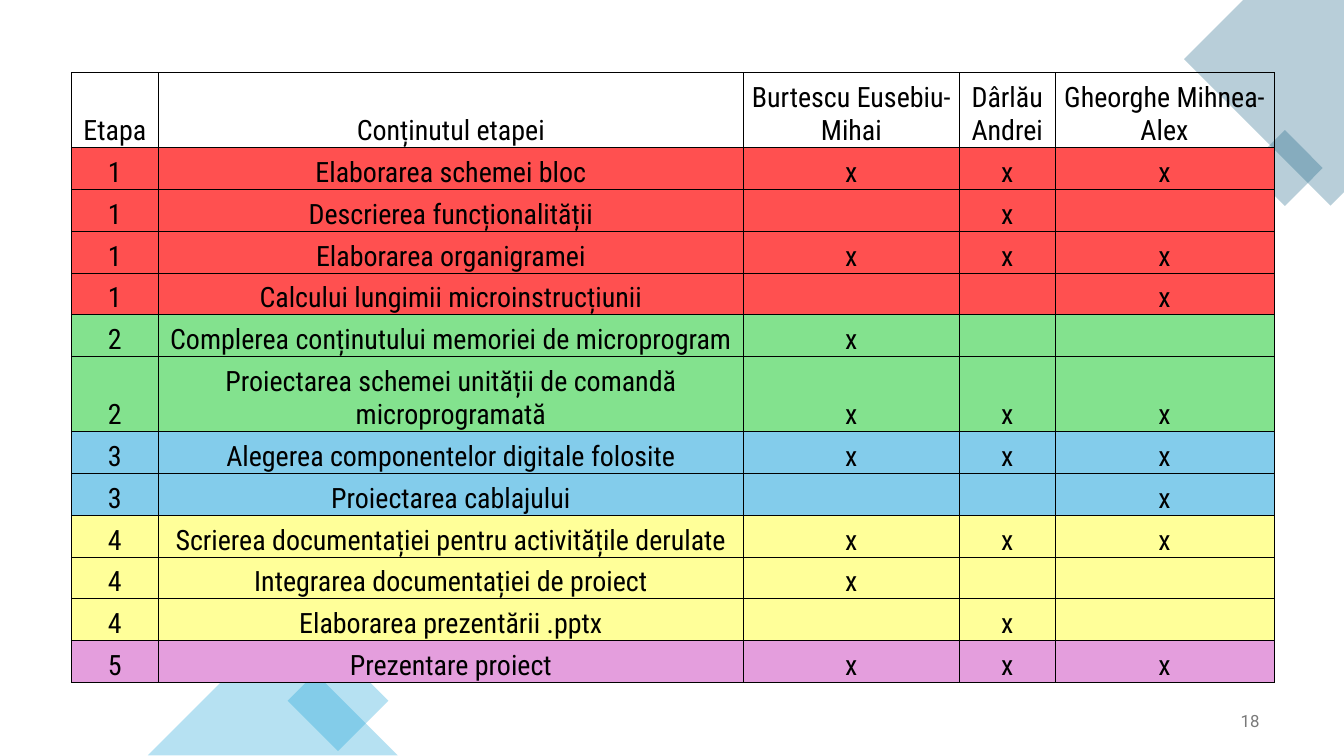
from lxml.etree import SubElement
from pptx import Presentation
from pptx.dml.color import RGBColor
from pptx.enum.shapes import MSO_SHAPE as SHAPE
from pptx.enum.text import MSO_ANCHOR as ANCHOR, PP_ALIGN as ALIGN
from pptx.oxml.ns import qn
from pptx.util import Inches, Pt

TEAL, SKY = "156082", "0F9ED5"
STAGE_COLORS = {"1": "FF5050", "2": "83E28E", "3": "83CCEB", "4": "FFFF99", "5": "E49EDD"}
HEADER = ("Etapa", "Conținutul etapei", "Burtescu Eusebiu-Mihai", "Dârlău Andrei",
          "Gheorghe Mihnea-Alex")
TASKS = [
    ("1", "Elaborarea schemei bloc", "x", "x", "x"),
    ("1", "Descrierea funcționalității", "", "x", ""),
    ("1", "Elaborarea organigramei", "x", "x", "x"),
    ("1", "Calcului lungimii microinstrucțiunii", "", "", "x"),
    ("2", "Complerea conținutului memoriei de microprogram", "x", "", ""),
    ("2", "Proiectarea schemei unității de comandă microprogramată", "x", "x", "x"),
    ("3", "Alegerea componentelor digitale folosite", "x", "x", "x"),
    ("3", "Proiectarea cablajului", "", "", "x"),
    ("4", "Scrierea documentației pentru activitățile derulate", "x", "x", "x"),
    ("4", "Integrarea documentației de proiect", "x", "", ""),
    ("4", "Elaborarea prezentării .pptx", "", "x", ""),
    ("5", "Prezentare proiect", "x", "x", "x"),
]
COLUMN_WIDTHS = (0.65, 4.35, 1.61, 0.71, 1.63)
TABLE_HEIGHT, TALL_HEIGHT, TALL_ROWS = 4.54, 0.56, (0, 6)


def paint(fill, color, alpha=None):
    """Fill with a solid colour, at an opacity in percent if given."""
    fill.solid()
    fill.fore_color.rgb = RGBColor.from_string(color)
    if alpha:
        clr = fill._xPr.find(f"{qn('a:solidFill')}/{qn('a:srgbClr')}")
        SubElement(clr, qn("a:alpha"), val=str(alpha * 1000))


def style_text(p, font, size, color, align):
    """Align a paragraph and format its runs."""
    p.alignment = align
    for r in p.runs:
        r.font.name, r.font.size, r.font.bold = font, Pt(size), False
        r.font.color.rgb = RGBColor.from_string(color)


def finish_decor(sp, color):
    """Make a shape a translucent, borderless decoration."""
    paint(sp.fill, color, 30)
    sp.line.fill.background()
    sp.shadow.inherit = False


def add_decor(s, kind, box, color, rotation=0):
    """Add a translucent preset shape."""
    sp = s.shapes.add_shape(kind, *map(Inches, box))
    sp.rotation = rotation
    finish_decor(sp, color)


def add_corner(s, points, color):
    """Add a translucent polygon through points in inches."""
    start, *rest = [(Inches(x), Inches(y)) for x, y in points]
    builder = s.shapes.build_freeform(*start)
    builder.add_line_segments(rest, close=True)
    finish_decor(builder.convert_to_shape(), color)


def add_borders(cell, color, width):
    """Draw all four borders of a cell."""
    tc_pr = cell._tc.get_or_add_tcPr()
    for side in ("a:lnL", "a:lnR", "a:lnT", "a:lnB"):
        ln = SubElement(tc_pr, qn(side), w=str(Pt(width)))
        SubElement(SubElement(ln, qn("a:solidFill")), qn("a:srgbClr"), val=color)


def fill_cell(cell, text, color):
    """Write one table cell with its borders and background."""
    add_borders(cell, "000000", 0.5)
    if color:
        paint(cell.fill, color)
    else:
        cell.fill.background()
    cell.margin_left = cell.margin_right = cell.margin_top = Inches(0.01)
    cell.margin_bottom = 0
    cell.vertical_anchor = ANCHOR.BOTTOM
    p = cell.text_frame.paragraphs[0]
    if text:
        p.text = text
    else:
        SubElement(p._p, qn("a:endParaRPr"), sz="1500")
    style_text(p, "Roboto Condensed", 15, "000000", ALIGN.CENTER)


def add_task_table(s):
    """Add the table of stages, tasks and team members."""
    rows = [HEADER, *TASKS]
    box = (0.53, 0.54, sum(COLUMN_WIDTHS), TABLE_HEIGHT)
    table = s.shapes.add_table(len(rows), len(HEADER), *map(Inches, box)).table
    table.first_row = table.horz_banding = False
    for column, width in zip(table.columns, COLUMN_WIDTHS):
        column.width = Inches(width)
    tall = len(TALL_ROWS)
    short_height = (TABLE_HEIGHT - tall * TALL_HEIGHT) / (len(rows) - tall)
    for i, values in enumerate(rows):
        table.rows[i].height = Inches(TALL_HEIGHT if i in TALL_ROWS else short_height)
        for j, text in enumerate(values):
            fill_cell(table.cell(i, j), text, STAGE_COLORS.get(values[0]))


def add_page_number(s, text):
    """Add the page number at the bottom right."""
    tf = s.shapes.add_textbox(*map(Inches, (7.22, 5.21, 2.25, 0.3))).text_frame
    tf.word_wrap = True
    tf.vertical_anchor = ANCHOR.MIDDLE
    p = tf.paragraphs[0]
    p.text = text
    p.space_after = Pt(6)
    style_text(p, "Roboto", 9, "797979", ALIGN.RIGHT)


def main():
    """Build the slide and save it."""
    prs = Presentation()
    prs.slide_width = Inches(10)
    prs.slide_height = prs.slide_width * 9 // 16
    s = prs.slides.add_slide(prs.slide_layouts[6])
    add_corner(s, [(10, 0), (9.25, 0), (8.81, 0.44), (9.9, 1.53), (10, 1.43)], TEAL)
    add_decor(s, SHAPE.RECTANGLE, (9.36, 1.05, 0.4, 0.4), TEAL, 315)
    add_decor(s, SHAPE.RECTANGLE, (2.25, 4.95, 0.53, 0.53), SKY, 45)
    add_decor(s, SHAPE.ISOSCELES_TRIANGLE, (1.1, 4.69, 1.86, 0.93), SKY)
    add_page_number(s, "18")
    add_task_table(s)
    prs.save("out.pptx")


if __name__ == "__main__":
    main()
